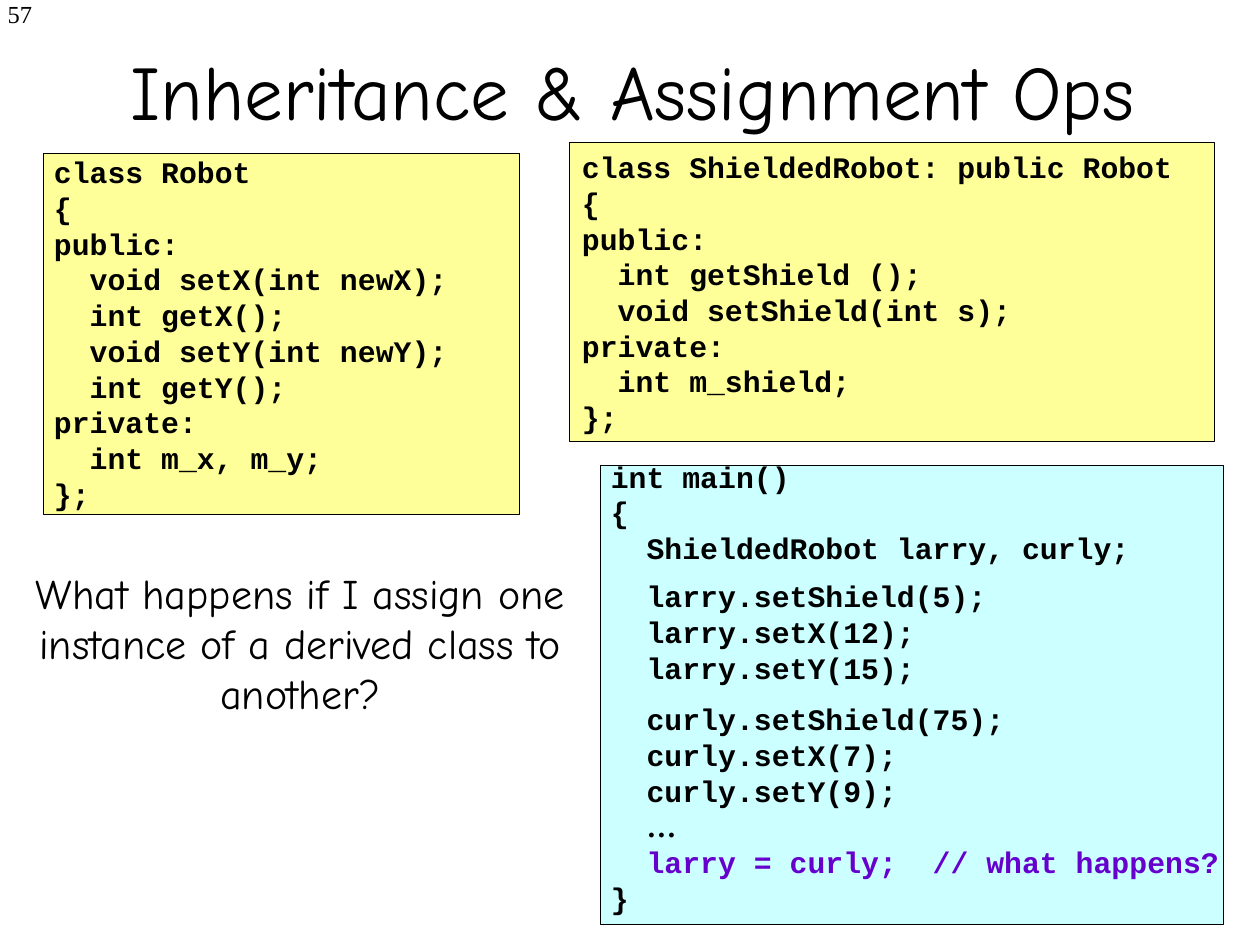
from pptx import Presentation
from pptx.dml.color import RGBColor
from pptx.enum.shapes import MSO_SHAPE
from pptx.enum.text import MSO_ANCHOR, PP_ALIGN
from pptx.util import Pt

RECTANGLE = MSO_SHAPE.RECTANGLE
TOP, MIDDLE = MSO_ANCHOR.TOP, MSO_ANCHOR.MIDDLE
LEFT, CENTER, RIGHT = PP_ALIGN.LEFT, PP_ALIGN.CENTER, PP_ALIGN.RIGHT

BLACK = RGBColor(0x00, 0x00, 0x00)
YELLOW = RGBColor(0xFF, 0xFF, 0x99)
CYAN = RGBColor(0xCC, 0xFF, 0xFF)
PURPLE = RGBColor(0x66, 0x00, 0xCC)

HAND, CODE, SERIF = "Comic Neue", "Courier New", "Times New Roman"

ROBOT = """class Robot
{
public:
  void setX(int newX);
  int getX();
  void setY(int newY);
  int getY();
private:
  int m_x, m_y;
};"""

SHIELDED_ROBOT = """class ShieldedRobot: public Robot
{
public:
  int getShield ();
  void setShield(int s);
private:
  int m_shield;
};"""

MAIN = """int main()
{
  ShieldedRobot larry, curly;
  larry.setShield(5);
  larry.setX(12);
  larry.setY(15);
  curly.setShield(75);
  curly.setX(7);
  curly.setY(9);
  …
  larry = curly;  // what happens?
}"""


class SlideBuilder:
    code_size = 17
    outline = 0.25

    def __init__(self, slide):
        self.slide = slide

    def text(self, box, content, font, size, align, anchor=TOP):
        shape = self.slide.shapes.add_textbox(*map(Pt, box))
        frame = shape.text_frame
        frame.word_wrap = True
        frame.vertical_anchor = anchor
        paragraph = frame.paragraphs[0]
        paragraph.text = content
        paragraph.alignment = align
        self.style(paragraph.font, font, size)

    def style(self, font, name, size, bold=False):
        font.name, font.size, font.bold = name, Pt(size), bold
        font.color.rgb = BLACK

    def panel(self, shapes, box, fill):
        shape = shapes.add_shape(RECTANGLE, *map(Pt, box))
        shape.shadow.inherit = False
        shape.fill.solid()
        shape.fill.fore_color.rgb = fill
        shape.line.color.rgb = BLACK
        shape.line.width = Pt(self.outline)
        return shape

    def code(self, shape, listing):
        """Write one paragraph per code line and return the paragraphs."""
        frame = shape.text_frame
        frame.word_wrap = True
        frame.vertical_anchor = TOP
        frame.text = listing
        for paragraph in frame.paragraphs:
            paragraph.alignment = LEFT
            self.style(paragraph.font, CODE, self.code_size, bold=True)
        return frame.paragraphs

    def code_group(self, panel_box, text_box, fill, listing):
        """Group a panel with a text box that is slightly larger than it."""
        shapes = self.slide.shapes.add_group_shape().shapes
        self.panel(shapes, panel_box, fill)
        return self.code(shapes.add_textbox(*map(Pt, text_box)), listing)


def main():
    presentation = Presentation()
    presentation.slide_width, presentation.slide_height = Pt(720), Pt(540)
    slide = presentation.slides.add_slide(presentation.slide_layouts[6])
    builder = SlideBuilder(slide)

    builder.text((-124.5, -4.3, 150, 36), "57", SERIF, 14, RIGHT)
    builder.text((48, 6, 642, 90), "Inheritance & Assignment Ops ", HAND, 44, CENTER, MIDDLE)
    builder.text((6, 320.5, 331, 94),
                 "What happens if I assign one instance of a derived class to another?",
                 HAND, 24, CENTER)

    builder.code_group((25, 87.75, 272, 206), (23.75, 84.5, 318, 211), YELLOW, ROBOT)

    main_lines = builder.code_group((343.25, 266, 356, 262), (342, 258.5, 384.5, 271.5),
                                    CYAN, MAIN)
    for paragraph in main_lines:
        code_line = paragraph.text.strip()
        if code_line.startswith("larry.setShield"):
            paragraph.space_before = Pt(7)
        elif code_line.startswith("curly.setShield"):
            paragraph.space_before = Pt(9)
        elif code_line == "…":
            paragraph.runs[0].text = "  "
            ellipsis = paragraph.add_run()
            ellipsis.text = code_line
            ellipsis.font.name = SERIF
        elif code_line.startswith("larry ="):
            paragraph.font.color.rgb = PURPLE

    shielded_panel = builder.panel(slide.shapes, (325.5, 81.5, 368.5, 170.5), YELLOW)
    builder.code(shielded_panel, SHIELDED_ROBOT)

    presentation.save("out.pptx")


if __name__ == "__main__":
    main()
